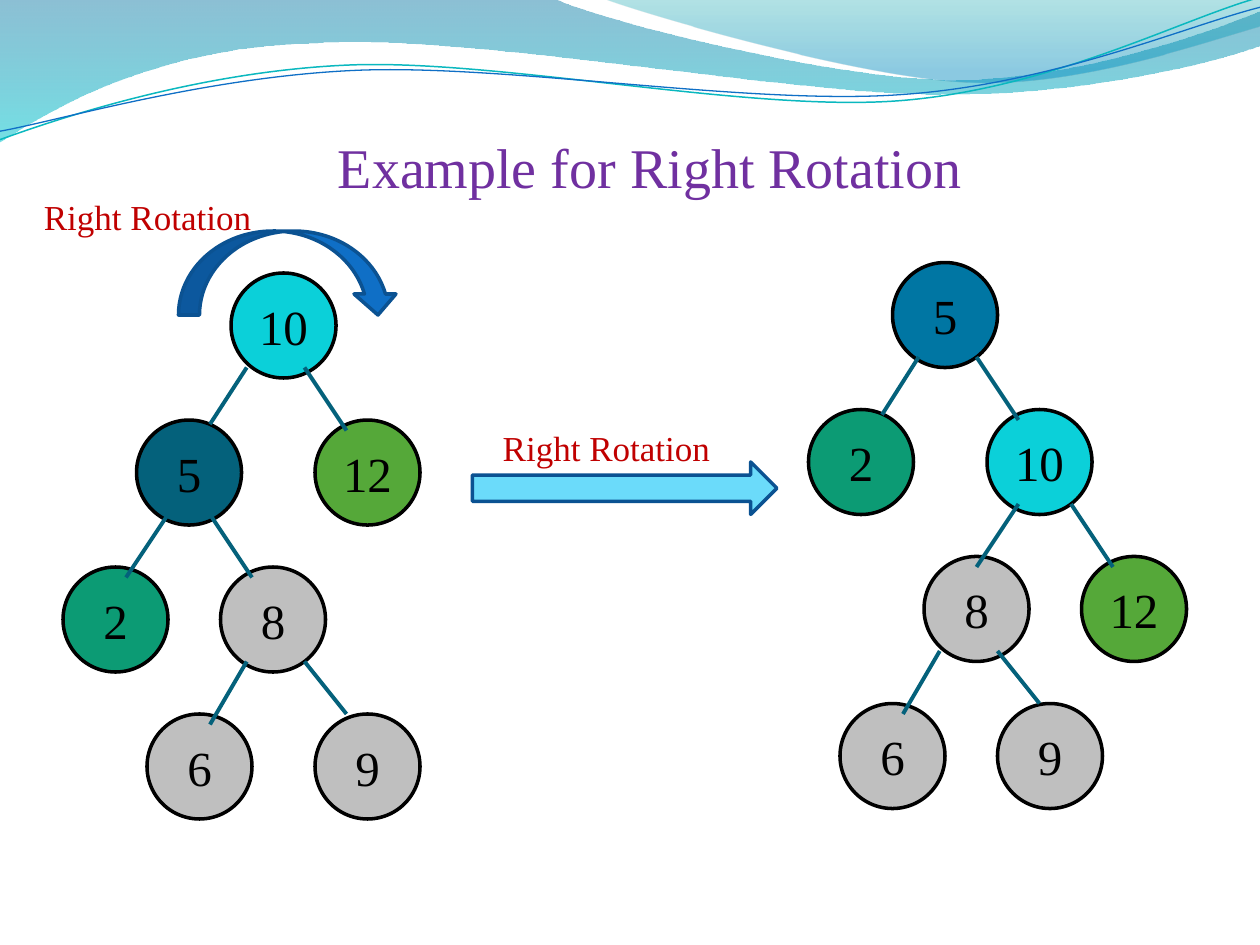
from dataclasses import dataclass
from typing import NamedTuple

import pptx
import pptx.dml.color
import pptx.enum.shapes
import pptx.enum.text
import pptx.oxml.ns
import pptx.oxml.xmlchemy
import pptx.util

SCALE = 7620  # EMU per px, 120 px to the inch
NODE_SIZE = 100
LEVEL_STEP = 140
EDGE_OFFSET = 90  # from the top of a level to the start of its edges
Box = tuple[int, int, int, int]


@dataclass(frozen=True)
class Theme:
    font: str = "Times New Roman"
    title_pt: int = 32
    node_pt: int = 28
    label_pt: int = 20
    outline_pt: float = 2
    edge_pt: float = 2.25
    title: str = "7030A0"
    label: str = "C00000"
    black: str = "000000"
    arrow_line: str = "0B5292"
    right_arrow: str = "6BDBFA"
    cyan: str = "0BD0D9"
    navy: str = "04617B"
    blue: str = "0076A3"
    bright_blue: str = "0F6FC6"
    green: str = "55A839"
    teal: str = "0C9B74"
    gray: str = "BFBFBF"
    wave_teal: str = "0AB8BF"
    # gradient stops: position, colour, opacity in percent
    back_stops: tuple = ((0, "0074A1", 45), (1, "00C6CF", 55))
    front_stops: tuple = ((0, "00A1A9", 30), (0.8, "008BBF", 45))


THEME = Theme()


class Wave(NamedTuple):
    """Start point, then three points for each Bezier segment."""
    start: tuple[int, int]
    points: list[tuple[int, int]]
    stops: tuple = ()
    line: str = ""
    line_pt: float = 0


class Node(NamedTuple):
    text: str
    x: int
    level: int
    fill: str


class Edge(NamedTuple):
    x0: int
    level: int
    x1: int
    drop: int


class Tree(NamedTuple):
    top: int
    nodes: list[Node]
    edges: list[Edge]


def straight(x: int, y: int) -> list[tuple[int, int]]:
    """A straight side as a Bezier segment."""
    return [(x, y)] * 3


WAVES = [
    Wave((0, 0), [
        *straight(528, -1), (571, 20), (797, 76), (910, 76), (1024, 76), (1150, 31), (1200, 11),
        *straight(1201, 43), (1180, 53), (1044, 91), (895, 90), (746, 90), (458, 34), (308, 41),
        (155, 43), (55, 100), (-1, 136)], stops=THEME.back_stops),
    Wave((575, -1), [
        (611, 13), (818, 74), (923, 78), (1027, 83), (1153, 38), (1200, 25),
        *straight(1200, 0)], stops=THEME.front_stops),
    Wave((0, 133), [
        (58, 112), (190, 68), (332, 62), (474, 56), (712, 107), (856, 96),
        (1000, 85), (1126, 18), (1198, -2)], line=THEME.wave_teal, line_pt=0.85),
    Wave((0, 125), [
        (56, 115), (197, 73), (340, 67), (484, 61), (716, 101), (860, 90),
        (1003, 80), (1129, 25), (1200, 7)], line=THEME.bright_blue, line_pt=0.75),
]

BEFORE = Tree(260, [
    Node("10", 220, 0, THEME.cyan), Node("5", 130, 1, THEME.navy),
    Node("12", 300, 1, THEME.green), Node("2", 60, 2, THEME.teal),
    Node("8", 210, 2, THEME.gray), Node("6", 140, 3, THEME.gray), Node("9", 300, 3, THEME.gray),
], [
    Edge(235, 0, 200, 54), Edge(290, 0, 330, 60), Edge(160, 1, 120, 60),
    Edge(200, 1, 240, 60), Edge(235, 2, 200, 60), Edge(290, 2, 330, 50),
])

AFTER = Tree(250, [
    Node("5", 850, 0, THEME.blue), Node("2", 770, 1, THEME.teal),
    Node("10", 940, 1, THEME.cyan), Node("8", 880, 2, THEME.gray),
    Node("12", 1030, 2, THEME.green), Node("6", 800, 3, THEME.gray), Node("9", 950, 3, THEME.gray),
], [
    Edge(875, 0, 840, 55), Edge(930, 0, 970, 60), Edge(970, 1, 930, 60),
    Edge(1020, 1, 1060, 60), Edge(895, 2, 860, 60), Edge(950, 2, 990, 50),
])


def emu(*lengths: int) -> list[pptx.util.Emu]:
    return [pptx.util.Emu(v * SCALE) for v in lengths]


def rgb(color: str) -> pptx.dml.color.RGBColor:
    return pptx.dml.color.RGBColor.from_string(color)


def set_line(line, color: str, width: float) -> None:
    line.color.rgb = rgb(color)
    line.width = pptx.util.Pt(width)


def set_text(tf, text: str, size: int, color: str) -> None:
    tf.word_wrap = False
    tf.text = text
    font = tf.paragraphs[0].runs[0].font
    font.name, font.size, font.color.rgb = THEME.font, pptx.util.Pt(size), rgb(color)


def add_wave(shapes, wave: Wave) -> None:
    builder = shapes.build_freeform(*wave.start, scale=SCALE)
    builder.add_line_segments(wave.points, close=bool(wave.stops))
    sp = builder.convert_to_shape()
    sp.shadow.inherit = False
    sides = sp.element.findall(".//" + pptx.oxml.ns.qn("a:lnTo"))
    for first, second, third in zip(*[iter(sides)] * 3):
        first.tag = pptx.oxml.ns.qn("a:cubicBezTo")
        for side in (second, third):
            first.append(side[0])
            side.getparent().remove(side)
    if not wave.stops:
        sp.fill.background()
        set_line(sp.line, wave.line, wave.line_pt)
        return
    sp.line.fill.background()
    sp.fill.gradient()
    sp.fill.gradient_angle = 270
    elements = sp.element.findall(".//" + pptx.oxml.ns.qn("a:gs"))
    for stop, gs, (position, color, opacity) in zip(sp.fill.gradient_stops, elements, wave.stops):
        stop.position, stop.color.rgb = position, rgb(color)
        alpha = pptx.oxml.xmlchemy.OxmlElement("a:alpha")
        alpha.set("val", str(opacity * 1000))
        gs[0].append(alpha)


def add_solid(shapes, kind, box: Box, fill: str, line: str):
    sp = shapes.add_shape(kind, *emu(*box))
    sp.shadow.inherit = False
    sp.fill.solid()
    sp.fill.fore_color.rgb = rgb(fill)
    set_line(sp.line, line, THEME.outline_pt)
    return sp


def add_tree(shapes, tree: Tree) -> None:
    for node in tree.nodes:
        box = (node.x, tree.top + node.level * LEVEL_STEP, NODE_SIZE, NODE_SIZE)
        sp = add_solid(shapes, pptx.enum.shapes.MSO_SHAPE.OVAL, box, node.fill, THEME.black)
        tf = sp.text_frame
        set_text(tf, node.text, THEME.node_pt, THEME.black)
        tf.vertical_anchor = pptx.enum.text.MSO_ANCHOR.MIDDLE
        tf.paragraphs[0].alignment = pptx.enum.text.PP_ALIGN.CENTER
    for edge in tree.edges:
        y = tree.top + edge.level * LEVEL_STEP + EDGE_OFFSET
        line = shapes.add_connector(pptx.enum.shapes.MSO_CONNECTOR.STRAIGHT,
                                    *emu(edge.x0, y, edge.x1, y + edge.drop))
        set_line(line.line, THEME.navy, THEME.edge_pt)
        line._element.spPr.append(pptx.oxml.xmlchemy.OxmlElement("a:effectLst"))


def add_label(shapes, text: str, box: Box, size: int, color: str) -> None:
    set_text(shapes.add_textbox(*emu(*box)).text_frame, text, size, color)


prs = pptx.Presentation()
prs.slide_width, prs.slide_height = emu(1200, 900)
shapes = prs.slides.add_slide(prs.slide_layouts[6]).shapes
kinds = pptx.enum.shapes.MSO_SHAPE
for wave in WAVES:
    add_wave(shapes, wave)
add_label(shapes, "Example for Right Rotation", (310, 120, 624, 113), THEME.title_pt, THEME.title)
add_tree(shapes, BEFORE)
add_solid(shapes, kinds.CURVED_DOWN_ARROW, (170, 220, 210, 80), THEME.bright_blue, THEME.arrow_line)
add_solid(shapes, kinds.RIGHT_ARROW, (450, 440, 290, 50), THEME.right_arrow, THEME.arrow_line)
add_tree(shapes, AFTER)
for box in ((30, 180, 223, 53), (467, 400, 223, 89)):
    add_label(shapes, "Right Rotation", box, THEME.label_pt, THEME.label)
prs.save("out.pptx")
